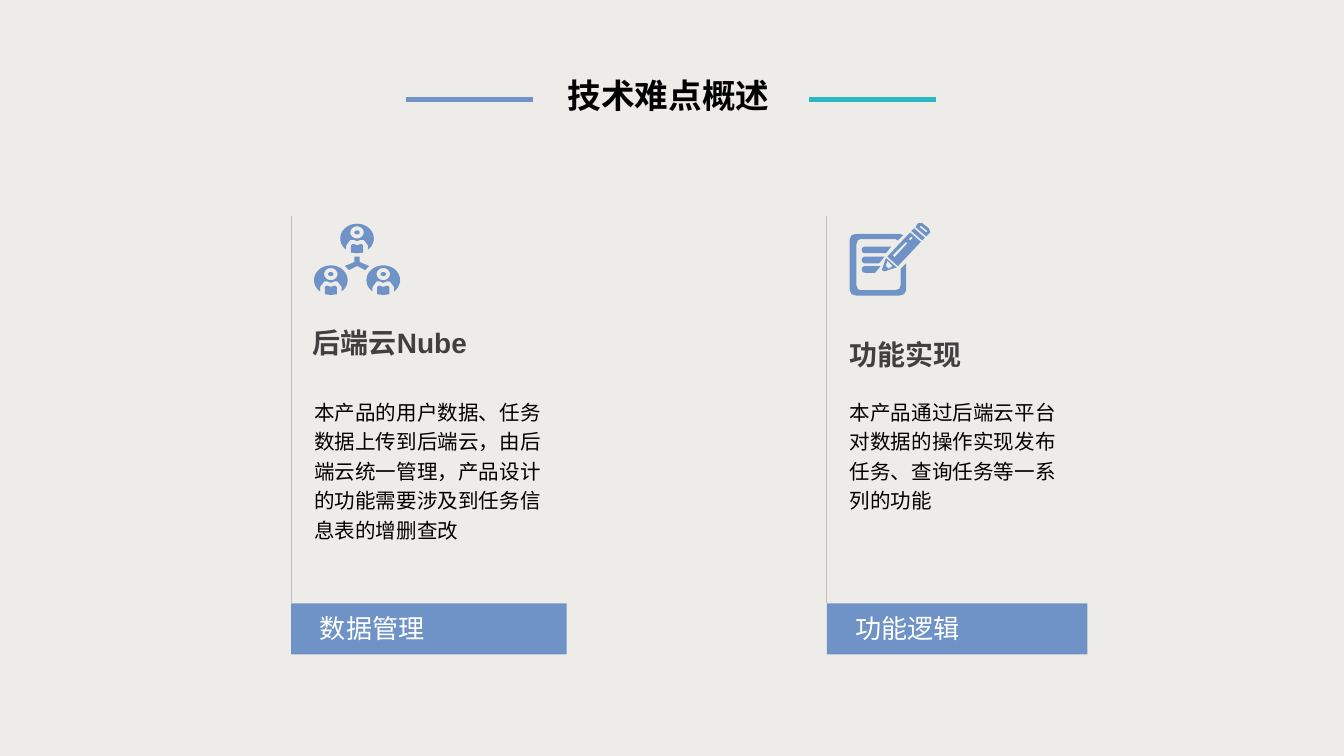
from dataclasses import dataclass
from math import cos, radians, sin

from lxml import etree
from pptx import Presentation
from pptx.dml.color import RGBColor
from pptx.enum.shapes import MSO_CONNECTOR, MSO_SHAPE
from pptx.enum.text import MSO_AUTO_SIZE
from pptx.oxml.ns import qn
from pptx.util import Inches, Pt

STRAIGHT = MSO_CONNECTOR.STRAIGHT
RECTANGLE = MSO_SHAPE.RECTANGLE
FIT_SHAPE = MSO_AUTO_SIZE.SHAPE_TO_FIT_TEXT

PAPER = RGBColor(0xEE, 0xEC, 0xE8)
BLUE = RGBColor(0x6F, 0x93, 0xC6)
TEAL = RGBColor(0x2A, 0xB7, 0xC2)
RULE = RGBColor(0xBF, 0xBF, 0xBF)
DARK = RGBColor(0x40, 0x40, 0x40)
BLACK = RGBColor(0, 0, 0)
WHITE = RGBColor(0xFF, 0xFF, 0xFF)

CELL = Inches(0.1)
CJK = "Noto Sans CJK SC"
TITLE = {"size": Pt(18), "name": CJK, "bold": True}
HEADING = {"size": Pt(15), "name": "Arial", "bold": True}
BODY = {"size": Pt(11), "name": CJK}
LABEL = {"size": Pt(14), "name": "Arial"}


def cells(*values):
    return [round(v * CELL) for v in values]


def shift(points, dx, dy):
    return [(x + dx, y + dy) for x, y in points]


def arc(rx, ry, cy=0, start=0, end=350):
    angles = range(start, end + 1, 10)
    return [(rx * cos(radians(a)), cy + ry * sin(radians(a))) for a in angles]


def bar(left, right, y):
    cap = shift(arc(0.25, 0.25, 0, 90, 270), left + 0.25, y)
    return cap + [(right, y - 0.25), (right - 0.4, y + 0.25)]


PERSON = [
    arc(1.25, 1.1, 0, 130, 410) + [
        (0.8, 0.5), (0.5, 0.1), (0.25, 0.1), (0, 0.2),
        (-0.25, 0.1), (-0.5, 0.1), (-0.8, 0.5)],
    arc(0.5, 0.45, -0.45),
    arc(0.2, 0.15, -0.45),
    [(-0.45, 0.5), (-0.3, 0.4), (0, 0.5), (0.3, 0.4), (0.45, 0.5),
     (0.45, 1.05), (0, 1.1), (-0.45, 1.05)],
]
HUB = [(-0.2, 19.1), (0.2, 19.1), (0.2, 19.5), (0.9, 19.8), (0.6, 20.1),
       (0, 19.8), (-0.6, 20.1), (-0.9, 19.8), (-0.2, 19.5)]
TEAM_ICON = [shift(HUB, 4.9, 0)] + [
    shift(part, x, y)
    for x, y in ((4.9, 17.75), (2.95, 20.85), (6.85, 20.85))
    for part in PERSON]

NOTE_ICON = [
    [(2.2, 17.4), (5.4, 17.4), (5.7, 17.5), (5.3, 17.9), (5.1, 17.8),
     (2.5, 17.8), (2.3, 17.9), (2.2, 18.2), (2.2, 21.2), (2.3, 21.5),
     (2.5, 21.6), (5.1, 21.6), (5.4, 21.5), (5.5, 21.2), (5.5, 20),
     (5.9, 19.6), (5.9, 21.6), (5.75, 21.9), (5.4, 22), (2.2, 22),
     (1.85, 21.9), (1.7, 21.6), (1.7, 17.8), (1.85, 17.5)],
    bar(2.6, 4.8, 18.6), bar(2.6, 4.3, 19.35), bar(2.6, 4, 20.05),
    [(4.4, 19.2), (5.2, 19.9), (4.3, 20.2), (4.1, 20.1)],
    [(4.5, 19.4), (4.4, 19.8), (4.6, 20), (4.9, 19.8)],
    [(6.2, 17.3), (7, 18), (5.3, 19.8), (4.5, 19.1)],
    [(5.9, 18), (6, 18.1), (5.05, 19.15), (4.9, 19)],
    [(6.3, 17.6), (6.4, 17.7), (6.2, 17.9), (6.1, 17.8)],
    [(6.5, 17), (7.3, 17.7), (7.1, 17.9), (6.3, 17.2)],
    [(6.8, 16.6), (7.1, 16.6), (7.6, 17), (7.7, 17.3), (7.4, 17.6),
     (6.6, 16.9)],
    [(7, 16.8), (6.9, 16.9), (7.4, 17.3), (7.5, 17.2)],
]


@dataclass
class Column:
    left: float
    width: float
    heading: str
    heading_at: tuple
    body: str
    body_dx: float
    label: str
    icon: list


COLUMNS = [
    Column(21.67, 20.5, "后端云Nube", (0.63, 23.75),
           "本产品的用户数据、任务数据上传到后端云，由后端云统一管理，"
           "产品设计的功能需要涉及到任务信息表的增删查改",
           0.73, "数据管理", TEAM_ICON),
    Column(61.52, 19.4, "功能实现", (0.73, 24.65),
           "本产品通过后端云平台对数据的操作实现发布任务、"
           "查询任务等一系列的功能",
           0.73, "功能逻辑", NOTE_ICON),
]


class Board:
    """Draws styled elements on the current slide in grid cells."""

    def __init__(self, prs):
        self.s = prs.slides.add_slide(prs.slide_layouts[6])
        self.s.background.fill.solid()
        self.s.background.fill.fore_color.rgb = PAPER

    def line(self, x1, y1, x2, y2, color, width):
        c = self.s.shapes.add_connector(STRAIGHT, *cells(x1, y1, x2, y2))
        c.line.color.rgb = color
        c.line.width = Pt(width)
        etree.SubElement(c._element.spPr, qn("a:effectLst"))

    def paint(self, sp):
        sp.shadow.inherit = False
        sp.fill.solid()
        sp.fill.fore_color.rgb = BLUE
        sp.line.fill.background()

    def rect(self, x, y, w, h):
        self.paint(self.s.shapes.add_shape(RECTANGLE, *cells(x, y, w, h)))

    def icon(self, contours, dx):
        outlines = [[cells(*p) for p in shift(c, dx, 0)] for c in contours]
        fb = self.s.shapes.build_freeform(*outlines[0][0])
        for outline in outlines:
            fb.move_to(*outline[0])
            fb.add_line_segments(outline[1:], close=True)
        self.paint(fb.convert_to_shape())

    def text(self, x, y, w, h, text, style, color, spacing=None):
        tf = self.s.shapes.add_textbox(*cells(x, y, w, h)).text_frame
        tf.word_wrap = True
        tf.auto_size = FIT_SHAPE
        p = tf.paragraphs[0]
        p.line_spacing = spacing
        r = p.add_run()
        r.text = text
        for key, value in style.items():
            setattr(r.font, key, value)
        r.font.color.rgb = color
        etree.SubElement(r._r.get_or_add_rPr(), qn("a:ea"), typeface=CJK)

    def column(self, col):
        x, w = col.left, col.width
        dx, y = col.heading_at
        self.line(x, 16.1, x, 44.9, RULE, 0.5)
        self.rect(x, 44.9, w, 3.8)
        self.icon(col.icon, x)
        self.text(x + dx, y, w - 0.8, 4, col.heading, HEADING, DARK)
        self.text(x + col.body_dx, 28.87, w - 0.8, 12, col.body, BODY, BLACK, 1.2)
        self.text(x + 1.15, 45.1, w - 0.8, 3.8, col.label, LABEL, WHITE)


def main():
    prs = Presentation()
    prs.slide_width = Inches(10)
    prs.slide_height = prs.slide_width * 9 // 16
    board = Board(prs)
    board.text(41.25, 5.1, 17.4, 4, "技术难点概述", TITLE, BLACK)
    for x, color in ((30.2, BLUE), (60.2, TEAL)):
        board.line(x, 7.4, x + 9.45, 7.4, color, 2.5)
    for col in COLUMNS:
        board.column(col)
    prs.save("out.pptx")


if __name__ == "__main__":
    main()
